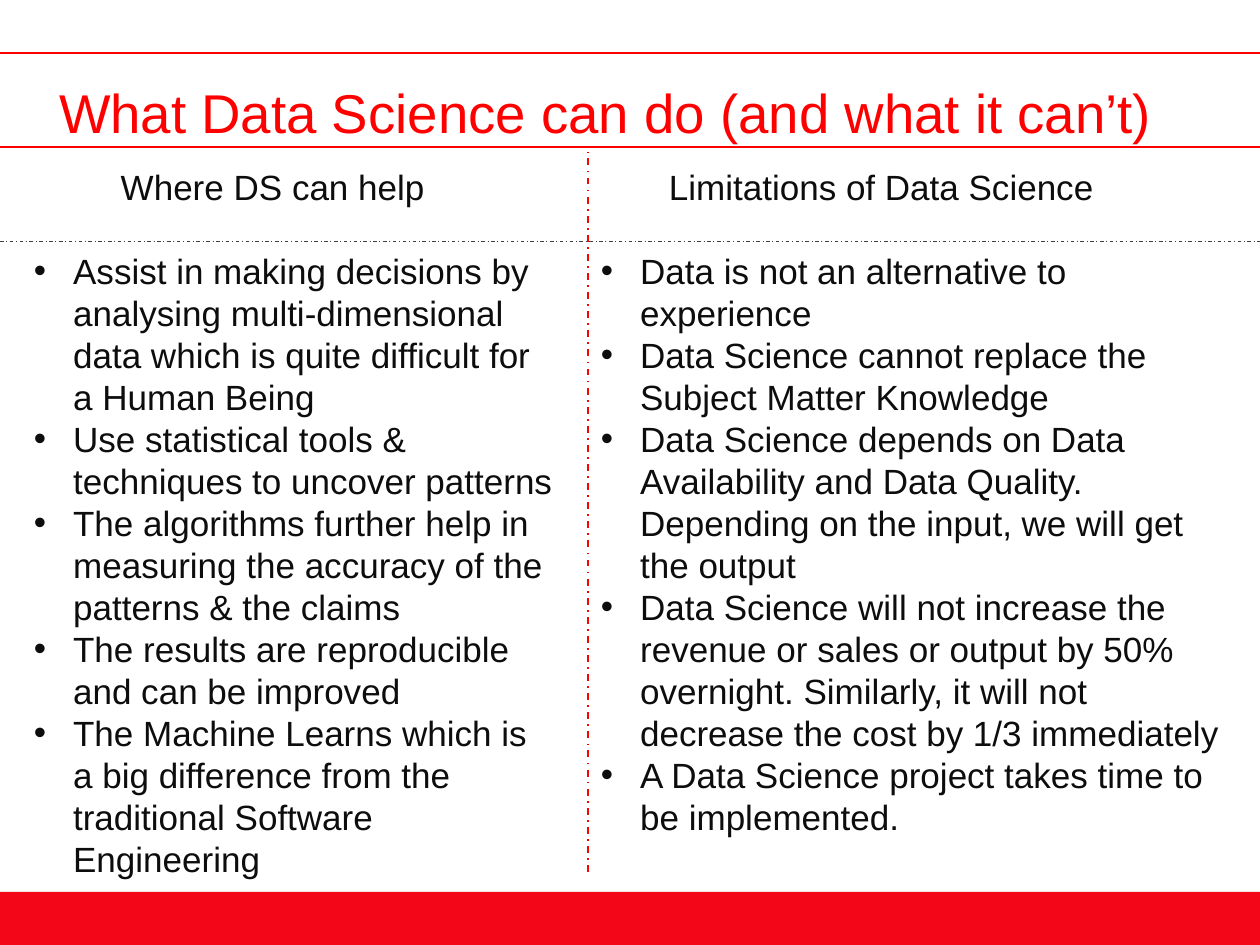
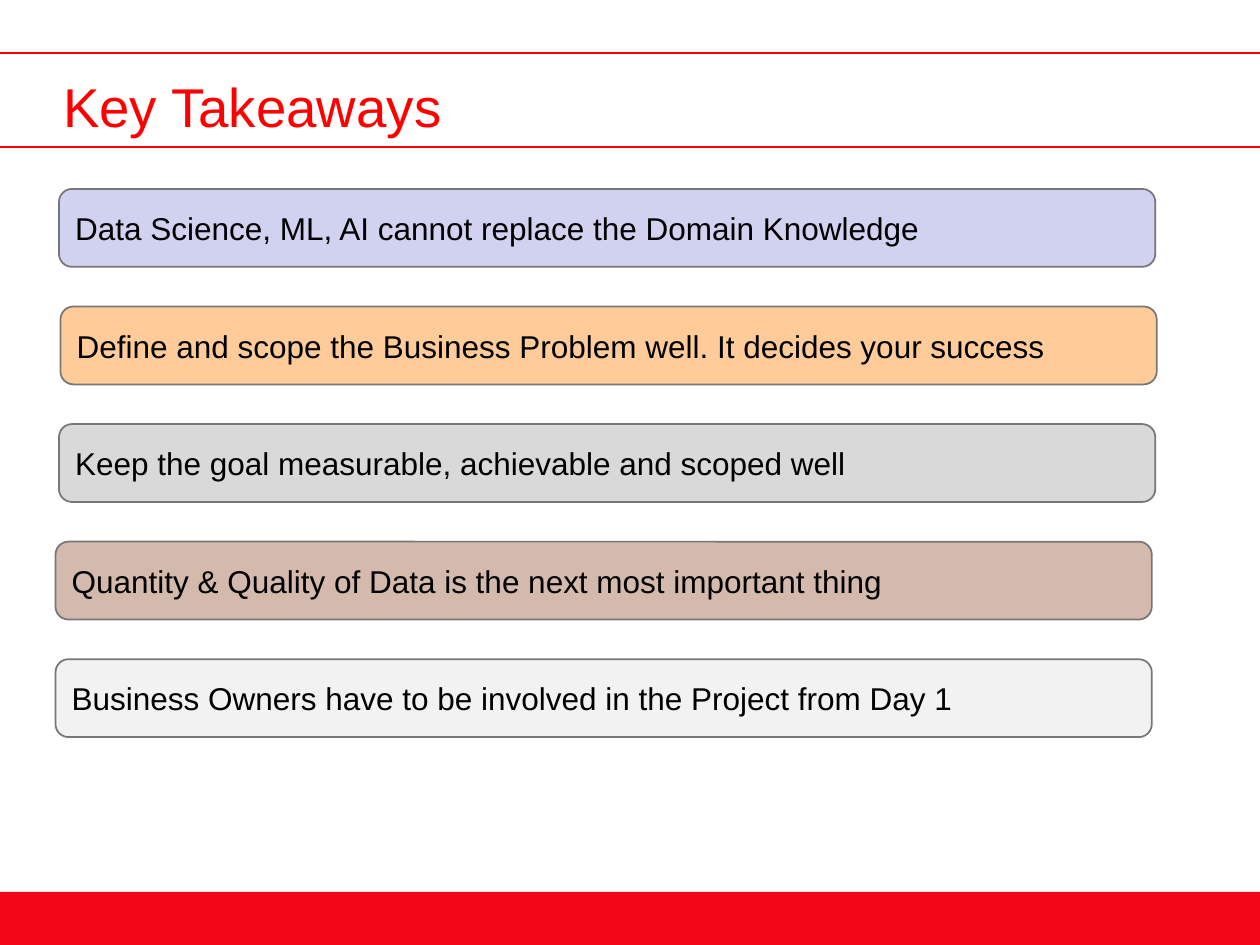
from lxml import etree
from pptx import Presentation
from pptx.dml.color import RGBColor
from pptx.enum.dml import MSO_LINE
from pptx.enum.shapes import MSO_CONNECTOR, MSO_SHAPE
from pptx.enum.text import MSO_ANCHOR, MSO_AUTO_SIZE, PP_ALIGN
from pptx.oxml.ns import qn
from pptx.util import Cm, Pt

RECT, ROUNDED = MSO_SHAPE.RECTANGLE, MSO_SHAPE.ROUNDED_RECTANGLE
STRAIGHT = MSO_CONNECTOR.STRAIGHT
DASH_DOT = MSO_LINE.DASH_DOT
LEFT = PP_ALIGN.LEFT
TOP, MIDDLE = MSO_ANCHOR.TOP, MSO_ANCHOR.MIDDLE
NO_FIT = MSO_AUTO_SIZE.NONE

# Shared look, lengths in cm
WIDTH, HEIGHT = 25.4, 19.05
RED, BAND_RED, INK, BLACK = "FF0000", "F30617", "0D0D0D", "000000"
GREY, DARK_GREY = "777777", "404040"
FONT = "Arial"
RULE_TOP, RULE_TITLE = 1.07, 2.97
BAND_TOP = 17.98
TWO_CONTENT, TITLE_ONLY = 3, 5

# Slide 1: header indent, header and points of each column
HELP = (1.75, "Where DS can help", [
    "Assist in making decisions by analysing multi-dimensional data which is quite "
    "difficult for a Human Being",
    "Use statistical tools & techniques to uncover patterns",
    "The algorithms further help in measuring the accuracy of the patterns & the claims",
    "The results are reproducible and can be improved",
    "The Machine Learns which is a big difference from the traditional Software Engineering",
])
LIMITS = (1.37, "Limitations of Data Science", [
    "Data is not an alternative to experience",
    "Data Science cannot replace the Subject Matter Knowledge",
    "Data Science depends on Data Availability and Data Quality. Depending on the input, "
    "we will get the output",
    "Data Science will not increase the revenue or sales or output by 50% overnight. "
    "Similarly, it will not decrease the cost by 1/3 immediately",
    "A Data Science project takes time to be implemented.",
])

# Slide 2: left edge, fill and text of each bar
TAKEAWAYS = [
    (1.19, "D1D1F0", "Data Science, ML, AI cannot replace the Domain Knowledge"),
    (1.22, "FFCC99", "Define and scope the Business Problem well. It decides your success"),
    (1.19, "D9D9D9", "Keep the goal measurable, achievable and scoped well"),
    (1.12, "D3BAAD", "Quantity & Quality of Data is the next most important thing"),
    (1.12, "F2F2F2", "Business Owners have to be involved in the Project from Day 1"),
]


def rgb(value):
    return RGBColor.from_string(value)


def set_all(target, values):
    for name, value in values.items():
        setattr(target, name, value)


def place(sp, left, top, width, height):
    set_all(sp, {"left": Cm(left), "top": Cm(top), "width": Cm(width), "height": Cm(height)})


def write(p, text, size, color, **paragraph_format):
    set_all(p, {"alignment": LEFT, **paragraph_format})
    r = p.add_run()
    r.text = text
    set_all(r.font, {"size": Pt(size), "name": FONT})
    r.font.color.rgb = rgb(color)


def set_bullet(p, margin, hanging=0, char=None):
    pPr = p._p.get_or_add_pPr()
    pPr.set("marL", str(Cm(margin)))
    pPr.set("indent", str(-Cm(hanging)))
    if char:
        etree.SubElement(pPr, qn("a:buChar")).set("char", char)
    else:
        etree.SubElement(pPr, qn("a:buNone"))


def add_line(s, x1, y1, x2, y2, color=RED, width=1, dash=None):
    line = s.shapes.add_connector(STRAIGHT, Cm(x1), Cm(y1), Cm(x2), Cm(y2))
    line.line.color.rgb = rgb(color)
    set_all(line.line, {"width": Pt(width), "dash_style": dash})
    etree.SubElement(line._element.spPr, qn("a:effectLst"))


def add_box(s, kind, left, top, width, height, fill, outline=None):
    sp = s.shapes.add_shape(kind, Cm(left), Cm(top), Cm(width), Cm(height))
    sp.shadow.inherit = False
    sp.fill.solid()
    sp.fill.fore_color.rgb = rgb(fill)
    if outline:
        sp.line.color.rgb = rgb(outline)
        sp.line.width = Pt(1)
    else:
        sp.line.fill.background()
    return sp


def add_slide(prs, layout, title, left, top):
    """Slide with the shared band, rules and title style."""
    s = prs.slides.add_slide(prs.slide_layouts[layout])
    add_box(s, RECT, 0, BAND_TOP, WIDTH, HEIGHT - BAND_TOP, BAND_RED)
    for y in (RULE_TOP, RULE_TITLE):
        add_line(s, 0, y, WIDTH, y)
    place(s.shapes.title, left, top, 22.86, 1.4)
    tf = s.shapes.title.text_frame
    set_all(tf, {"margin_left": 0, "margin_top": Cm(0.12), "margin_bottom": 0,
                 "vertical_anchor": TOP, "auto_size": NO_FIT, "word_wrap": True})
    write(tf.paragraphs[0], title, 31.2, RED)
    return s


def fill_column(sp, left, width, height, column):
    header_indent, header, points = column
    place(sp, left, 3.2, width, height)
    tf = sp.text_frame
    set_all(tf, {"auto_size": NO_FIT, "vertical_anchor": TOP, "word_wrap": True})
    spacing = {"line_spacing": Pt(24), "space_before": Pt(0)}
    p = tf.paragraphs[0]
    write(p, header, 20, INK, space_after=Pt(24), **spacing)
    set_bullet(p, header_indent)
    for point in points:
        p = tf.add_paragraph()
        write(p, point, 20, INK, space_after=Pt(0), **spacing)
        set_bullet(p, 0.79, 0.79, "•")


def add_bar(s, left, top, fill, text):
    sp = add_box(s, ROUNDED, left, top, 22.1, 1.57, fill, GREY)
    set_all(sp.text_frame, {"vertical_anchor": MIDDLE, "word_wrap": True})
    write(sp.text_frame.paragraphs[0], text, 18, BLACK)


def main():
    prs = Presentation()
    set_all(prs, {"slide_width": Cm(WIDTH), "slide_height": Cm(HEIGHT)})

    # Two columns split by dashed rules
    s = add_slide(prs, TWO_CONTENT, "What Data Science can do (and what it can’t)", 1.19, 1.47)
    fill_column(s.placeholders[1], 0.43, 11, 14.78, HELP)
    fill_column(s.placeholders[2], 11.86, 13.13, 13.94, LIMITS)
    add_line(s, 11.86, 17.58, 11.86, RULE_TITLE, dash=DASH_DOT)
    add_line(s, 0, 4.87, WIDTH, 4.87, DARK_GREY, 0.5, DASH_DOT)

    # Evenly stacked takeaway bars
    s = add_slide(prs, TITLE_ONLY, "Key Takeaways", 1.27, 1.35)
    for i, (left, fill, text) in enumerate(TAKEAWAYS):
        add_bar(s, left, 3.81 + i * 2.37, fill, text)

    prs.save("out.pptx")


if __name__ == "__main__":
    main()
